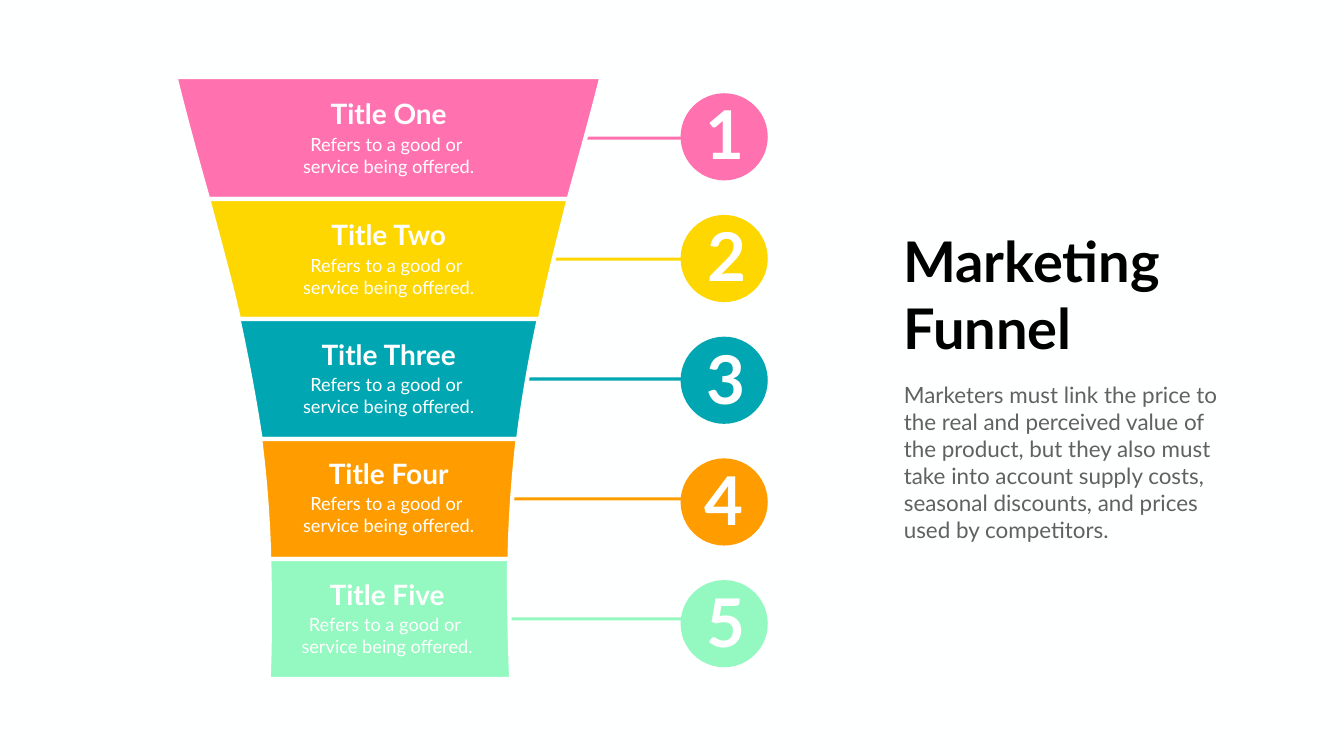
import math
import pptx
import pptx.util
import pptx.dml.color
import pptx.enum.text
import pptx.enum.shapes

Inches = pptx.util.Inches
Pt = pptx.util.Pt
ALIGN = pptx.enum.text.PP_ALIGN

PAPER = "FEFFFF"
WHITE = "FFFFFF"
HEAD = "Marketing Funnel"
BODY = ("Marketers must link the price to the real and perceived value of "
        "the product, but they also must take into account supply costs, "
        "seasonal discounts, and prices used by competitors.")
NOTE = ["Refers to a good or ", "service being offered."]
STAGES = [
    ("Title One", "FF72AF", (3.48, 3.68, 3.9, 4.13), (11.93, 11.73, 11.5, 11.28)),
    ("Title Two", "FED600", (4.13, 4.34, 4.56, 4.74), (11.28, 11.08, 10.88, 10.71)),
    ("Title Three", "00A7B3", (4.73, 4.9, 5.05, 5.17), (10.69, 10.52, 10.38, 10.28)),
    ("Title Four", "FF9D00", (5.16, 5.26, 5.32, 5.34), (10.27, 10.18, 10.12, 10.11)),
    ("Title Five", "93F9C0", (5.34, 5.36, 5.36, 5.33), (10.1, 10.09, 10.11, 10.14)),
]
TITLES = [(7.71, 1.87, 2.54), (7.71, 4.27, 2.58), (7.71, 6.64, 2.93),
          (7.71, 9, 2.63), (7.68, 11.4, 2.52)]
DIGITS = [(13.86, 1.78), (13.89, 4.21), (13.87, 6.65), (13.84, 9.05), (13.87, 11.47)]
EDGES = [1.53, 3.95, 6.33, 8.71, 11.09, 13.47]
DISC = 1.73
DISC_X = 13.5
DISC_Y = 1.85
PITCH = 2.415
STEM_X = 10.01
KNOB_X = 14.365
KNOB = 0.265
HALF = 0.03
STEPS = 12


def color(code):
    return pptx.dml.color.RGBColor.from_string(code)


def paint(shape, code):
    shape.shadow.inherit = False
    shape.fill.solid()
    shape.fill.fore_color.rgb = color(code)
    shape.line.fill.background()


def outline(slide, spots, code):
    spots = [(Inches(x), Inches(y)) for x, y in spots]
    pen = slide.shapes.build_freeform(*spots[0])
    pen.add_line_segments(spots[1:], close=True)
    shape = pen.convert_to_shape()
    paint(shape, code)
    return shape


def curve(xs, top, base):
    a, b, c, d = xs
    spots = []
    for i in range(STEPS + 1):
        t = i / STEPS
        u = 1 - t
        x = a * u**3 + 3 * b * u * u * t + 3 * c * u * t * t + d * t**3
        spots.append((x, top + (base - top) * t))
    return spots


def band(slide, left, right, top, base, code):
    spots = curve(left, top, base) + curve(right, top, base)[::-1]
    shape = outline(slide, spots, code)
    shape.line.color.rgb = color(PAPER)
    shape.line.width = Pt(6)


def link(slide, y, code):
    gap = math.asin(HALF / KNOB)
    count = 4 * STEPS
    spots = [(STEM_X, y + HALF), (STEM_X, y - HALF)]
    for i in range(count + 1):
        turn = math.pi + gap + (math.tau - 2 * gap) * i / count
        spots.append((KNOB_X + KNOB * math.cos(turn), y + KNOB * math.sin(turn)))
    outline(slide, spots, code)


def disc(slide, y, code):
    shape = slide.shapes.add_shape(
        pptx.enum.shapes.MSO_SHAPE.OVAL,
        Inches(DISC_X), Inches(y), Inches(DISC), Inches(DISC))
    paint(shape, code)


def label(slide, x, y, w, h, lines, size, code, bold=False, align=ALIGN.LEFT, wrap=True):
    box = slide.shapes.add_textbox(Inches(x), Inches(y), Inches(w), Inches(h))
    frame = box.text_frame
    frame.word_wrap = wrap
    frame.auto_size = pptx.enum.text.MSO_AUTO_SIZE.SHAPE_TO_FIT_TEXT
    for i, line in enumerate(lines):
        para = frame.add_paragraph() if i else frame.paragraphs[0]
        para.alignment = align
        run = para.add_run()
        run.text = line
        run.font.name = "Lato"
        run.font.size = Pt(size)
        run.font.bold = bold
        run.font.color.rgb = color(code)


def main():
    deck = pptx.Presentation()
    deck.slide_width = Inches(26.66)
    deck.slide_height = Inches(15)
    slide = deck.slides.add_slide(deck.slide_layouts[6])
    slide.background.fill.solid()
    slide.background.fill.fore_color.rgb = color(PAPER)

    for i, (name, code, left, right) in enumerate(STAGES):
        top, base = EDGES[i:i + 2]
        link(slide, (top + base) / 2, code)
        band(slide, left, right, top, base, code)
        disc(slide, DISC_Y + i * PITCH, code)
        mid, y, wide = TITLES[i]
        label(slide, mid - wide / 2, y, wide, 0.77, [name],
              40, WHITE, True, ALIGN.CENTER, False)
        label(slide, mid - 1.83, y + 0.72, 3.66, 0.98, NOTE,
              26, WHITE, False, ALIGN.CENTER, False)
        label(slide, *DIGITS[i], 1.01, 1.72, [str(i + 1)],
              96, WHITE, True, ALIGN.RIGHT)

    label(slide, 17.82, 4.44, 5.57, 2.79, [HEAD], 80, "000000", True)
    label(slide, 17.83, 7.52, 6.63, 3.33, [BODY], 32, "616161")
    deck.save("out.pptx")


if __name__ == "__main__":
    main()
